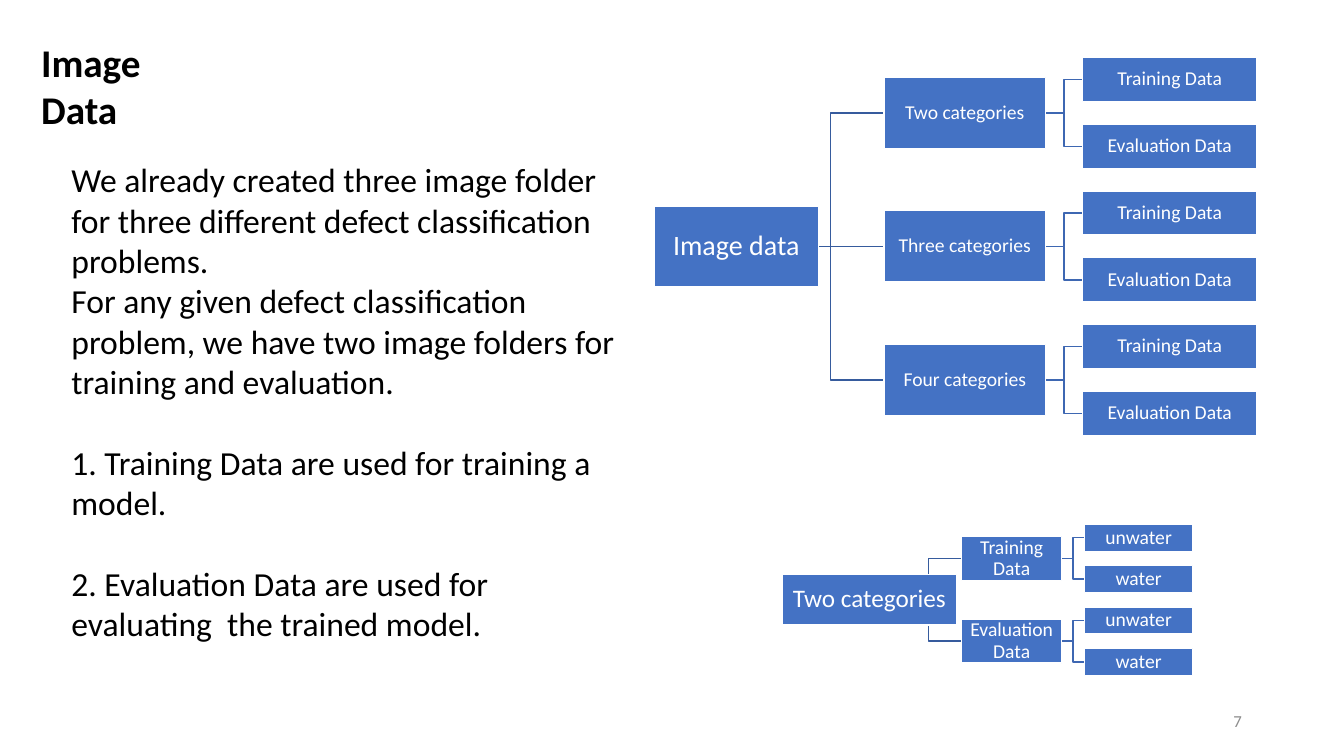
from dataclasses import dataclass

from lxml.etree import SubElement
from pptx import Presentation
from pptx.dml.color import RGBColor
from pptx.enum.shapes import MSO_CONNECTOR as Connector, MSO_SHAPE as Shape
from pptx.enum.text import MSO_ANCHOR as Anchor, PP_ALIGN as Align
from pptx.oxml.ns import qn
from pptx.util import Pt


@dataclass(frozen=True)
class Theme:
    font: str = "Calibri"
    black: str = "000000"
    white: str = "FFFFFF"
    grey: str = "8C8C8C"
    box: str = "4472C4"
    root_line: str = "365B9D"
    branch_line: str = "3E67B2"
    title_size: int = 28
    body_size: int = 24
    root_size: int = 20
    small_root_size: int = 18
    node_size: int = 14
    number_size: int = 12


THEME = Theme()


@dataclass(frozen=True)
class Column:
    """One level of a tree; branches leave it at branch_start."""
    left: float
    width: float
    height: float
    branch_start: float = 0
    size: int = THEME.node_size


def write_text(frame, paragraphs, size, color=THEME.black, bold=False,
               align=Align.LEFT, anchor=Anchor.TOP, inset=None,
               line_spacing=None, gaps=()):
    """Fill a frame; gaps gives the space before each paragraph."""
    frame.word_wrap = True
    frame.vertical_anchor = anchor
    if inset is not None:
        frame.margin_left = frame.margin_right = Pt(inset)
        frame.margin_top = frame.margin_bottom = Pt(inset)
    for index, text in enumerate(paragraphs):
        paragraph = frame.add_paragraph() if index else frame.paragraphs[0]
        paragraph.alignment = align
        paragraph.line_spacing = line_spacing
        if gaps:
            paragraph.space_before = Pt(gaps[index])
        run = paragraph.add_run()
        run.text = text
        run.font.name = THEME.font
        run.font.size = Pt(size)
        run.font.bold = bold
        run.font.color.rgb = RGBColor.from_string(color)


def add_text(slide, left, top, width, height, paragraphs, **text_format):
    shape = slide.shapes.add_textbox(Pt(left), Pt(top), Pt(width), Pt(height))
    write_text(shape.text_frame, paragraphs, **text_format)


def add_box(slide, column, middle, label):
    shape = slide.shapes.add_shape(
        Shape.RECTANGLE, Pt(column.left), Pt(middle - column.height / 2),
        Pt(column.width), Pt(column.height))
    shape.shadow.inherit = False
    shape.fill.solid()
    shape.fill.fore_color.rgb = RGBColor.from_string(THEME.box)
    shape.line.color.rgb = RGBColor.from_string(THEME.white)
    shape.line.width = Pt(1)
    write_text(shape.text_frame, [label], size=column.size, color=THEME.white,
               align=Align.CENTER, anchor=Anchor.MIDDLE, inset=0.7,
               line_spacing=0.9)
    return shape


def add_branch(slide, parent, child, start, color):
    """Draw a line from parent to the child's left side, behind all boxes."""
    begin_y = parent.top + parent.height // 2
    end_y = child.top + child.height // 2
    straight = abs(begin_y - end_y) < Pt(0.1)
    connector = slide.shapes.add_connector(
        Connector.STRAIGHT if straight else Connector.ELBOW,
        Pt(start), begin_y, child.left, end_y)
    if straight:
        connector.begin_connect(parent, 3)
        connector.end_connect(child, 1)
    connector.line.color.rgb = RGBColor.from_string(color)
    connector.line.width = Pt(1)
    SubElement(connector.element.spPr, qn("a:effectLst"))
    connector.element.getparent().insert(2, connector.element)


def add_tree(slide, root_label, node_labels, leaf_labels, columns,
             first_leaf, leaf_pitch):
    """Place leaves at an equal pitch and centre each parent on its children."""
    root_column, node_column, leaf_column = columns
    count = len(leaf_labels)
    root_middle = first_leaf + leaf_pitch * (len(node_labels) * count - 1) / 2
    root = add_box(slide, root_column, root_middle, root_label)
    for index, node_label in enumerate(node_labels):
        top_leaf = first_leaf + index * count * leaf_pitch
        node_middle = top_leaf + leaf_pitch * (count - 1) / 2
        node = add_box(slide, node_column, node_middle, node_label)
        add_branch(slide, root, node, root_column.branch_start, THEME.root_line)
        for row, leaf_label in enumerate(leaf_labels):
            leaf = add_box(slide, leaf_column, top_leaf + row * leaf_pitch, leaf_label)
            add_branch(slide, node, leaf, node_column.branch_start, THEME.branch_line)


def main():
    presentation = Presentation()
    presentation.slide_width, presentation.slide_height = Pt(960), Pt(540)
    slide = presentation.slides.add_slide(presentation.slide_layouts[6])

    # Title and explanation
    add_text(slide, 22.3, 23.8, 125, 82, ["Image Data"],
             size=THEME.title_size, bold=True)
    add_text(slide, 43.9, 110.2, 416.9, 385.2, [
        "We already created three image folder for three different defect "
        "classification problems.",
        "For any given defect classification problem, we have two image "
        "folders for training and evaluation.",
        "1. Training Data are used for training a model.",
        "2. Evaluation Data are used for evaluating  the trained model.",
    ], size=THEME.body_size, gaps=(0, 0, 28.8, 28.8))

    # Folder trees
    data_sets = ["Training Data", "Evaluation Data"]
    add_tree(slide, "Image data",
             ["Two categories", "Three categories", "Four categories"], data_sets,
             [Column(467.3, 117.4, 57.4, 555.1, THEME.root_size),
              Column(631.4, 115.6, 51, 747),
              Column(773.3, 124.6, 31.5)],
             first_leaf=56.8, leaf_pitch=47.7)
    add_tree(slide, "Two categories", data_sets, ["unwater", "water"],
             [Column(558.7, 124.6, 36, 639.4, THEME.small_root_size),
              Column(686.9, 71.6, 31.5, 758.5),
              Column(774.7, 77.2, 19.4)],
             first_leaf=384.1, leaf_pitch=29.55)

    # Slide number
    add_text(slide, 678.2, 500.4, 216, 28.8, ["7"], size=THEME.number_size,
             color=THEME.grey, align=Align.RIGHT, anchor=Anchor.MIDDLE)

    presentation.save("out.pptx")


if __name__ == "__main__":
    main()
